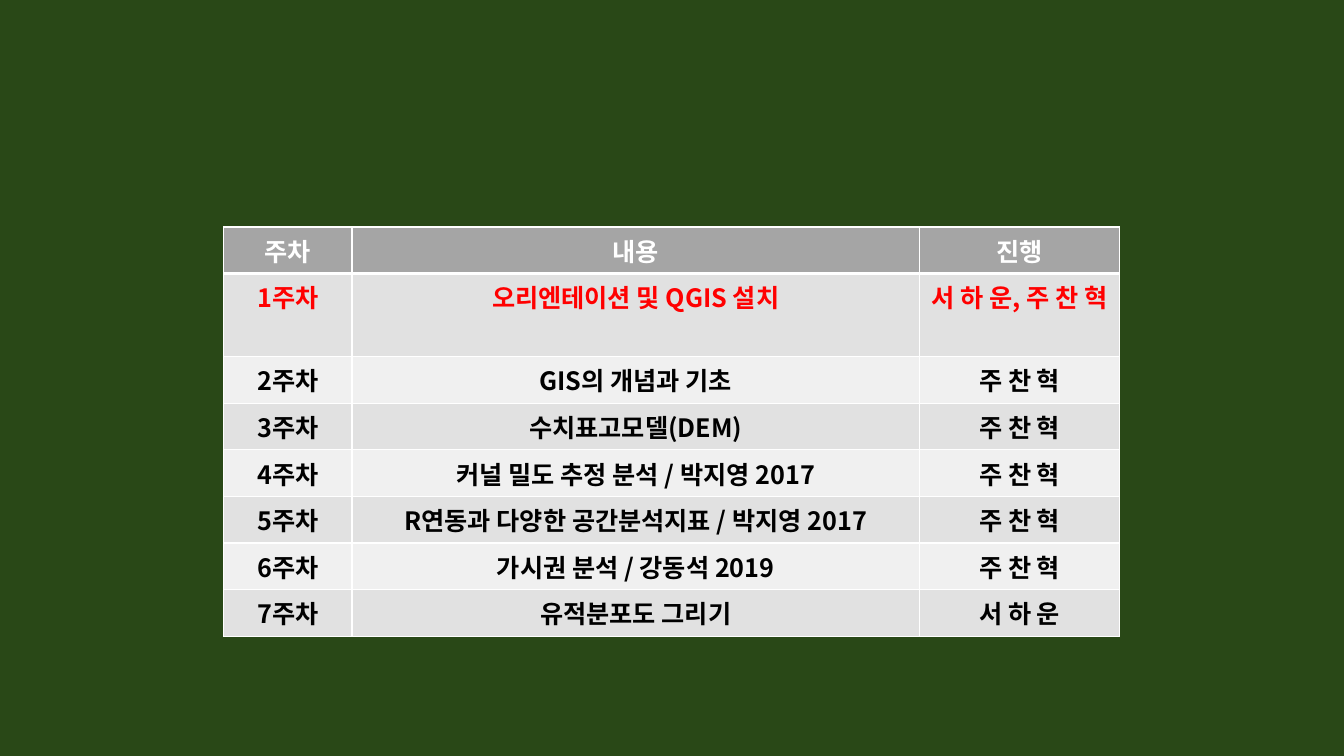
from typing import NamedTuple

from pptx import Presentation
from pptx.dml.color import RGBColor
from pptx.enum.text import PP_ALIGN as Align
from pptx.oxml.xmlchemy import OxmlElement as Element
from pptx.table import _Cell as Cell
from pptx.util import Cm, Pt

FONT = "Noto Sans CJK KR"
GREEN = RGBColor(0x29, 0x48, 0x17)
WHITE = RGBColor(0xFF, 0xFF, 0xFF)
BLACK = RGBColor(0, 0, 0)
RED = RGBColor(0xFF, 0, 0)
HEADER_GREY = RGBColor(0xA5, 0xA5, 0xA5)
DARK_BAND = RGBColor(0xE1, 0xE1, 0xE1)
LIGHT_BAND = RGBColor(0xF0, 0xF0, 0xF0)

CURRENT_WEEK = 1
COLUMN_WIDTHS = (Cm(3.23), Cm(14.3), Cm(5.05))
ROW_HEIGHT = Cm(1.03)


class Session(NamedTuple):
    topic: str
    host: str


SESSIONS = [
    Session("오리엔테이션 및 QGIS 설치", "서 하 운, 주 찬 혁"),
    Session("GIS의 개념과 기초", "주 찬 혁"),
    Session("수치표고모델(DEM)", "주 찬 혁"),
    Session("커널 밀도 추정 분석 / 박지영 2017", "주 찬 혁"),
    Session("R연동과 다양한 공간분석지표 / 박지영 2017", "주 찬 혁"),
    Session("가시권 분석 / 강동석 2019", "주 찬 혁"),
    Session("유적분포도 그리기", "서 하 운"),
]


def write_text(cell: Cell, text: str, *, color: RGBColor, size: float = 18,
               bold: bool = True, align: Align = Align.CENTER) -> None:
    paragraph = cell.text_frame.paragraphs[0]
    paragraph.alignment = align
    run = paragraph.add_run()
    run.text = text
    font = run.font
    font.name, font.size, font.bold = FONT, Pt(size), bold
    font.color.rgb = color
    east_asian = Element("a:ea")
    east_asian.set("typeface", FONT)
    run._r.get_or_add_rPr().append(east_asian)


def add_border(cell: Cell, side: str, width: float) -> None:
    """Draw a white border; side is L, R, T or B and width is in points."""
    line = Element(f"a:ln{side}")
    line.set("w", str(Pt(width)))
    fill = Element("a:solidFill")
    color = Element("a:srgbClr")
    color.set("val", str(WHITE))
    fill.append(color)
    line.append(fill)
    cell._tc.get_or_add_tcPr().append(line)


def fill_row(cells: list[Cell], texts: tuple[str, ...], *, color: RGBColor,
             fill: RGBColor, top: float = 1, bottom: float = 1) -> None:
    for cell, text in zip(cells, texts):
        for side, width in zip("LRTB", (1, 1, top, bottom)):
            add_border(cell, side, width)
        cell.fill.solid()
        cell.fill.fore_color.rgb = fill
        write_text(cell, text, color=color)


def main() -> None:
    presentation = Presentation()
    presentation.slide_width, presentation.slide_height = Cm(33.87), Cm(19.05)
    slide = presentation.slides.add_slide(presentation.slide_layouts[6])
    slide.background.fill.solid()
    slide.background.fill.fore_color.rgb = GREEN

    row_count = len(SESSIONS) + 1
    table = slide.shapes.add_table(
        row_count, len(COLUMN_WIDTHS), Cm(5.64), Cm(5.72),
        sum(COLUMN_WIDTHS), ROW_HEIGHT * row_count).table
    for column, width in zip(table.columns, COLUMN_WIDTHS):
        column.width = width

    header, *weeks = [list(row.cells) for row in table.rows]
    fill_row(header, ("주차", "내용", "진행"), color=WHITE, fill=HEADER_GREY, bottom=3)
    for number, (cells, session) in enumerate(zip(weeks, SESSIONS), start=1):
        fill_row(cells, (f"{number}주차", session.topic, session.host),
                 color=RED if number == CURRENT_WEEK else BLACK,
                 fill=DARK_BAND if number % 2 else LIGHT_BAND,
                 top=3 if number == 1 else 1)
    presentation.save("out.pptx")


if __name__ == "__main__":
    main()
